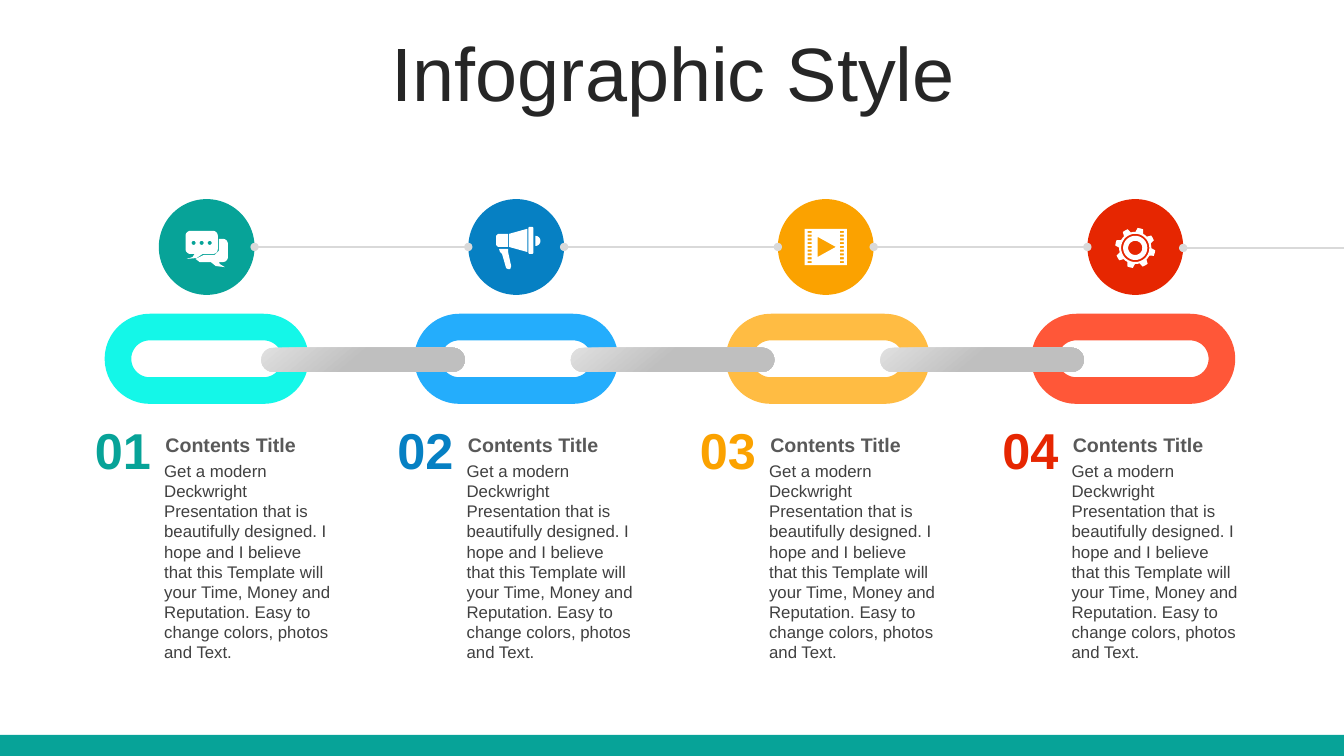
from math import cos, radians, sin

from lxml.etree import SubElement
from pptx import Presentation
from pptx.dml.color import RGBColor
from pptx.enum.shapes import MSO_CONNECTOR, MSO_SHAPE
from pptx.enum.text import MSO_ANCHOR, MSO_AUTO_SIZE, PP_ALIGN
from pptx.oxml.ns import qn
from pptx.util import Inches, Pt

COLORS = {
    "white": "FFFFFF", "heading": "262626", "subtitle": "595959", "body": "404040",
    "thread": "D9D9D9", "bar light": "E0E0E0", "bar dark": "BFBFBF",
    "teal": "07A398", "blue": "0680C3", "amber": "FBA200", "red": "E62601",
    "teal link": "14F7E8", "blue link": "24ADFC",
    "amber link": "FFBC43", "red link": "FF5738",
}
RGB = {name: RGBColor.from_string(code) for name, code in COLORS.items()}
STEPS = ["teal", "blue", "amber", "red"]
DESCRIPTION = (
    "Get a modern Deckwright Presentation that is beautifully designed. "
    "I hope and I believe that this Template will your Time, Money and Reputation. "
    "Easy to change colors, photos and Text."
)

WIDTH, HEIGHT = 13.33, 7.5
PITCH, TEXT_PITCH = 3.07, 3.0
FIRST_CENTER, THREAD_Y, DIAMETER = 2.05, 2.45, 0.95
LINK_CENTERS = [2.05, 5.12, 8.21, 11.24]
LINK_W, LINK_H, LINK_Y = 1.76, 0.63, 3.56
BAR_W, BAR_H, BAR_Y, FIRST_BAR = 2.02, 0.24, 3.57, 3.6


def arc(cx, cy, radius, start=0, end=360):
    """Points along a circle, clockwise, angles in degrees from the right."""
    count = max(2, abs(end - start) // 10)
    angles = [radians(start + (end - start) * i / count) for i in range(count + 1)]
    return [(cx + radius * cos(a), cy + radius * sin(a)) for a in angles]


def paint(shape, color):
    """Solid fill without outline or shadow."""
    shape.shadow.inherit = False
    shape.fill.solid()
    shape.fill.fore_color.rgb = RGB[color]
    shape.line.fill.background()


deck = Presentation()
deck.slide_width, deck.slide_height = Inches(WIDTH), Inches(HEIGHT)
slide = deck.slides.add_slide(deck.slide_layouts[5])
shapes = slide.shapes

footer = shapes.add_shape(
    MSO_SHAPE.RECTANGLE, 0, Inches(7.29), Inches(WIDTH), Inches(HEIGHT - 7.29))
paint(footer, "teal")

# Title
title = shapes.title
title.left, title.top = Inches(0.35), Inches(0.37)
title.width, title.height = Inches(12.66), Inches(0.79)
title.text_frame.auto_size = MSO_AUTO_SIZE.NONE
title.text_frame.vertical_anchor = MSO_ANCHOR.MIDDLE
heading = title.text_frame.paragraphs[0]
heading.alignment = PP_ALIGN.CENTER
heading.line_spacing, heading.space_before = 0.9, Pt(10)
heading_run = heading.add_run()
heading_run.text = "Infographic Style"
heading_run.font.name, heading_run.font.size = "Arial", Pt(54)
heading_run.font.color.rgb = RGB["heading"]

# Circles and chain links
for i, step in enumerate(STEPS):
    circle = shapes.add_shape(
        MSO_SHAPE.OVAL, Inches(FIRST_CENTER + i * PITCH - DIAMETER / 2),
        Inches(THREAD_Y - DIAMETER / 2), Inches(DIAMETER), Inches(DIAMETER))
    paint(circle, step)

    link = shapes.add_shape(
        MSO_SHAPE.ROUNDED_RECTANGLE, Inches(LINK_CENTERS[i] - LINK_W / 2),
        Inches(LINK_Y - LINK_H / 2), Inches(LINK_W), Inches(LINK_H))
    link.adjustments[0] = 0.5
    link.shadow.inherit = False
    link.fill.background()
    link.line.color.rgb = RGB[step + " link"]
    link.line.width = Pt(19)

# Thread between the circles, running off the right edge
for i in range(len(STEPS)):
    is_last = i == len(STEPS) - 1
    start = FIRST_CENTER + i * PITCH + DIAMETER / 2
    end = WIDTH if is_last else start + PITCH - DIAMETER
    y = Inches(THREAD_Y + 0.01 * is_last)
    thread = shapes.add_connector(
        MSO_CONNECTOR.STRAIGHT, Inches(start), y, Inches(end), y)
    thread.line.color.rgb = RGB["thread"]
    thread.line.width = Pt(1.25)
    for tag in ["a:headEnd"] if is_last else ["a:headEnd", "a:tailEnd"]:
        SubElement(thread.line._ln, qn(tag)).set("type", "oval")
    SubElement(thread._element.spPr, qn("a:effectLst"))

# Grey bars joining the links
for i in range(len(STEPS) - 1):
    bar = shapes.add_shape(
        MSO_SHAPE.ROUNDED_RECTANGLE, Inches(FIRST_BAR + i * PITCH - BAR_W / 2),
        Inches(BAR_Y - BAR_H / 2), Inches(BAR_W), Inches(BAR_H))
    bar.adjustments[0] = 0.5
    paint(bar, "bar dark")
    bar.fill.gradient()
    bar.fill.gradient_angle = 310
    light, dark = bar.fill.gradient_stops
    light.color.rgb, light.position = RGB["bar light"], 0
    dark.color.rgb, dark.position = RGB["bar dark"], 0.48

# Numbered texts: text, left, top, width, height, side inset, size, colour, bold
for i, step in enumerate(STEPS):
    for text, left, top, width, height, inset, size, color, bold in [
        (f"{i + 1:02}", 0.82, 4.11, 0.8, 0.71, 0.1, 36, step, True),
        (DESCRIPTION, 1.53, 4.52, 1.85, 2.12, 0.1, 12, "body", False),
        ("Contents Title", 1.52, 4.25, 1.81, 0.34, 0.12, 14, "subtitle", True),
    ]:
        frame = shapes.add_textbox(
            Inches(left + i * TEXT_PITCH), Inches(top),
            Inches(width), Inches(height)).text_frame
        frame.word_wrap = True
        frame.margin_left = frame.margin_right = Inches(inset)
        paragraph = frame.paragraphs[0]
        paragraph.alignment = PP_ALIGN.CENTER if color == step else PP_ALIGN.LEFT
        run = paragraph.add_run()
        run.text = text
        run.font.name, run.font.size, run.font.bold = "Arial", Pt(size), bold
        run.font.color.rgb = RGB[color]

# Icons: each is a list of closed contours, inner ones cut holes
front_bubble = [
    *arc(1.89, 2.34, 0.05, 180, 270), *arc(2.11, 2.34, 0.05, 270, 360),
    *arc(2.11, 2.47, 0.05, 0, 90), (2.01, 2.52), (1.95, 2.56), (1.85, 2.57),
    (1.91, 2.55), (1.93, 2.52), *arc(1.89, 2.47, 0.05, 90, 180)]
back_bubble = [
    (2.17, 2.37), *arc(2.21, 2.42, 0.05, 270, 360), *arc(2.21, 2.55, 0.05, 0, 90),
    (2.17, 2.6), (2.18, 2.62), (2.23, 2.65), (2.14, 2.64), (2.09, 2.6),
    (1.98, 2.6), (1.94, 2.57), (2.02, 2.53), (2.13, 2.53), (2.17, 2.49)]
chat = [front_bubble, back_bubble] + [arc(x, 2.41, 0.02) for x in (1.92, 2, 2.08)]

megaphone = [
    [(4.95, 2.47), (5.04, 2.47), (5.04, 2.5), (5.07, 2.64), (5.06, 2.67),
     (5.04, 2.67), (5.02, 2.66), (4.98, 2.52), (4.96, 2.5)],
    arc(5.31, 2.39, 0.05, -90, 90),
    [(4.94, 2.32), (5.04, 2.32), (5.04, 2.45), (4.94, 2.45), (4.92, 2.43), (4.92, 2.34)],
    [(5.23, 2.27), (5.23, 2.5), (5.05, 2.45), (5.05, 2.32)],
    [(5.25, 2.25), (5.28, 2.25), (5.29, 2.26), (5.29, 2.51), (5.28, 2.52),
     (5.25, 2.52), (5.24, 2.51), (5.24, 2.26)]]

film = [[(7.98, 2.27), (8.4, 2.27), (8.4, 2.63), (7.98, 2.63)],
        [(8.11, 2.35), (8.29, 2.45), (8.11, 2.55)]]
for row in range(9):
    y = 2.29 + row * 0.3 / 8
    film += [[(x, y), (x + 0.04, y), (x + 0.04, y + 0.02), (x, y + 0.02)]
             for x in (8.01, 8.33)]

hub = (11.26, 2.46)
teeth = []
for angle in range(-75, 285, 45):
    teeth += arc(*hub, 0.2, angle - 8, angle + 8) + arc(*hub, 0.16, angle + 14, angle + 31)
gear = [teeth] + [arc(*hub, radius) for radius in (0.14, 0.12, 0.07)]

for icon in [chat, megaphone, film, gear]:
    contours = [[(Inches(x), Inches(y)) for x, y in contour] for contour in icon]
    builder = shapes.build_freeform(*contours[0][0])
    for contour in contours:
        builder.move_to(*contour[0])
        builder.add_line_segments(contour[1:], close=True)
    paint(builder.convert_to_shape(), "white")

deck.save("out.pptx")
